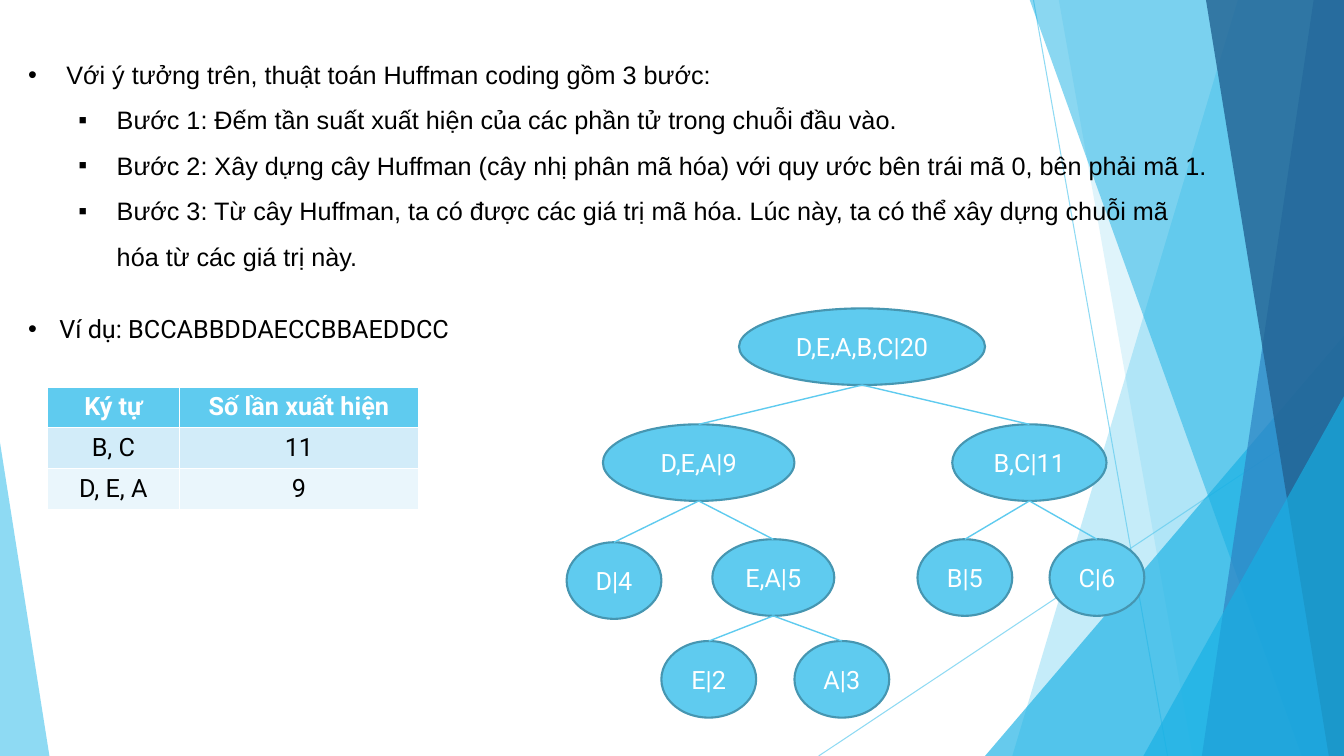
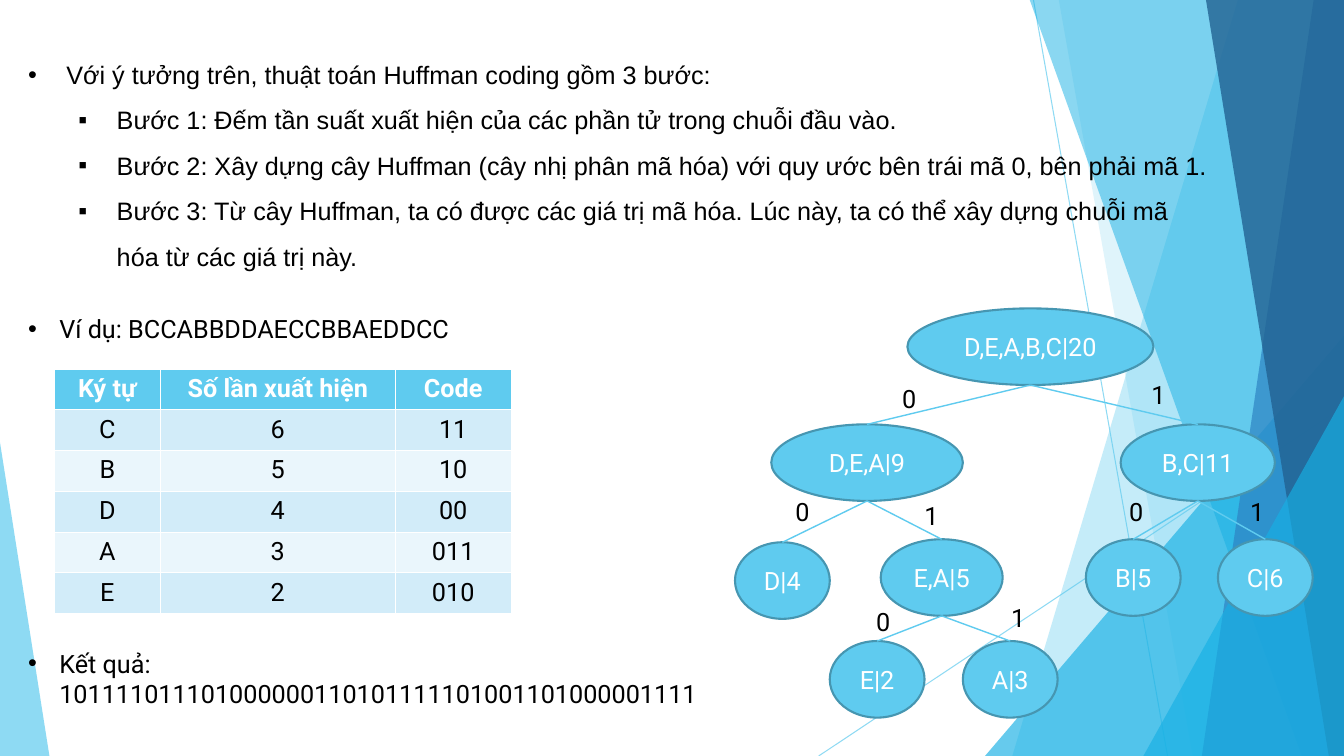
from lxml.etree import SubElement
from pptx import Presentation
from pptx.dml.color import RGBColor
from pptx.enum.shapes import MSO_CONNECTOR, MSO_SHAPE
from pptx.enum.text import MSO_ANCHOR, MSO_AUTO_SIZE, PP_ALIGN
from pptx.oxml.ns import qn
from pptx.util import Inches, Pt

WIDTH, HEIGHT = 13.33, 7.5
STEPS = [
    "Với ý tưởng trên, thuật toán Huffman coding gồm 3 bước:",
    "Bước 1: Đếm tần suất xuất hiện của các phần tử trong chuỗi đầu vào.",
    "Bước 2: Xây dựng cây Huffman (cây nhị phân mã hóa) với quy ước bên trái mã 0, bên phải mã 1.",
    "Bước 3: Từ cây Huffman, ta có được các giá trị mã hóa. Lúc này, ta có thể xây dựng chuỗi mã "
    "hóa từ các giá trị này.",
]
EXAMPLE = "Ví dụ: BCCABBDDAECCBBAEDDCC"
RESULT = "Kết quả: 101111011101000000110101111101001101000001111"
GROUPS = [("Ký tự", "Số lần xuất hiện"), ("B, C", "11"), ("D, E, A", "9")]
CODES = [
    ("Ký tự", "Số lần xuất hiện", "Code"),
    ("C", "6", "11"),
    ("B", "5", "10"),
    ("D", "4", "00"),
    ("A", "3", "011"),
    ("E", "2", "010"),
]
NODES = {
    "E|2": (7.03, 6.36, 0.94),
    "A|3": (8.35, 6.36, 0.94),
    "E,A|5": (7.67, 5.35, 1.21),
    "B|5": (9.57, 5.35, 0.94),
    "C|6": (10.88, 5.35, 0.94),
    "B,C|11": (10.21, 4.21, 1.53),
    "D|4": (6.09, 5.38, 0.94),
    "D,E,A|9": (6.93, 4.21, 1.9),
    "D,E,A,B,C|20": (8.55, 3.06, 2.44),
}
NODE_HEIGHT = 0.76
BRANCHES = [
    ("E,A|5", "E|2"),
    ("E,A|5", "A|3"),
    ("D,E,A|9", "D|4"),
    ("D,E,A|9", "E,A|5"),
    ("B,C|11", "B|5"),
    ("B,C|11", "C|6"),
    ("D,E,A,B,C|20", "B,C|11"),
    ("D,E,A,B,C|20", "D,E,A|9"),
]
BITS = {
    "0": [(8.85, 3.75), (7.79, 4.87), (8.59, 5.97), (11.1, 4.87)],
    "1": [(11.32, 3.71), (12.3, 4.87), (9.93, 5.93), (9.07, 4.91)],
}


def color(value):
    """Turn a hex string into a colour."""
    return RGBColor.from_string(value)


def set_opacity(shape, percent):
    """Make the colours of a shape partly transparent."""
    for node in shape.element.spPr.iter(qn("a:srgbClr")):
        SubElement(node, qn("a:alpha"), val=str(percent * 1000))


class Deck:
    """Hold the style, the presentation and the current slide."""

    body_font, steps_font, size = "Roboto", "Arial", 18
    sky, azure, blue, navy = "5FCBEF", "17B0E4", "2E83C3", "226292"
    outline, white, black = "4696B1", "FFFFFF", "000000"
    bands = ("EAF6FC", "D2ECF9")

    def __init__(self):
        """Start the presentation with its shared background."""
        self.presentation = Presentation()
        self.presentation.slide_width = Inches(WIDTH)
        self.presentation.slide_height = Inches(HEIGHT)
        self.layout = self.presentation.slide_layouts[6]
        self.slide = None

    def add_slide(self):
        """Add a slide and make it current."""
        first = self.slide is None
        self.slide = self.presentation.slides.add_slide(self.layout)
        if first:
            self.backdrop()

    def backdrop(self):
        """Draw the facets and move them to the layout all slides share."""
        for placeholder in list(self.layout.placeholders):
            self.layout.shapes.element.remove(placeholder.element)
        for start, end in (((10.25, 0), (11.58, HEIGHT)), ((WIDTH, 4.03), (8.12, HEIGHT))):
            set_opacity(self.line(start, end, 0.75), 70)
        self.wedge(12.28, 10.04, self.sky, 36)
        self.wedge(10.5, 11.83, self.sky, 20)
        self.triangle(9.77, 3.33, 3.56, 1, self.azure, 66)
        self.wedge(10.21, 12.91, self.azure, 50)
        self.wedge(13.03, 11.92, self.blue, 70)
        self.wedge(11.96, 13.18, self.navy, 80)
        self.triangle(11.34, 3.93, 1.99, 1, self.azure, 66)
        self.triangle(0, 4.39, 0.49, 0, self.sky, 70)
        for shape in list(self.slide.shapes):
            self.layout.shapes.element.append(shape.element)

    def paint(self, shape, fill, opacity):
        """Give a shape a plain transparent fill."""
        shape.shadow.inherit = False
        shape.fill.solid()
        shape.fill.fore_color.rgb = color(fill)
        shape.line.fill.background()
        set_opacity(shape, opacity)

    def wedge(self, top_x, bottom_x, fill, opacity):
        """Draw a full-height facet that reaches the right edge."""
        top = -0.01
        builder = self.slide.shapes.build_freeform(Inches(top_x), Inches(top))
        corners = ((WIDTH, top), (WIDTH, HEIGHT), (bottom_x, HEIGHT))
        builder.add_line_segments([(Inches(x), Inches(y)) for x, y in corners])
        self.paint(builder.convert_to_shape(), fill, opacity)

    def triangle(self, left, top, width, apex, fill, opacity):
        """Draw a triangle that stands on the bottom edge."""
        shape = self.slide.shapes.add_shape(
            MSO_SHAPE.ISOSCELES_TRIANGLE, Inches(left), Inches(top), Inches(width), Inches(HEIGHT - top)
        )
        shape.adjustments[0] = apex
        self.paint(shape, fill, opacity)

    def line(self, start, end, weight):
        """Draw a straight line between two points."""
        connector = self.slide.shapes.add_connector(
            MSO_CONNECTOR.STRAIGHT, *[Inches(value) for value in (*start, *end)]
        )
        connector.line.color.rgb = color(self.sky)
        connector.line.width = Pt(weight)
        SubElement(connector.element.spPr, qn("a:effectLst"))
        return connector

    def format_runs(self, paragraph, font, font_color, bold=False):
        """Set the font of every run in a paragraph."""
        for run in paragraph.runs:
            run.font.name = font
            run.font.size = Pt(self.size)
            run.font.bold = bold
            run.font.color.rgb = color(font_color)

    def bullet(self, paragraph, character, margin, hanging):
        """Give a paragraph a hanging bullet."""
        properties = paragraph._p.get_or_add_pPr()
        properties.set("marL", str(Inches(margin)))
        properties.set("indent", str(-Inches(hanging)))
        SubElement(properties, qn("a:buFont"), typeface="Arial")
        SubElement(properties, qn("a:buChar"), char=character)

    def text(self, left, top, width, height, lines, font=body_font):
        """Add a text box and return its paragraphs."""
        box = self.slide.shapes.add_textbox(Inches(left), Inches(top), Inches(width), Inches(height))
        frame = box.text_frame
        frame.word_wrap = True
        frame.auto_size = MSO_AUTO_SIZE.SHAPE_TO_FIT_TEXT
        frame.text = "\n".join(lines)
        for paragraph in frame.paragraphs:
            self.format_runs(paragraph, font, self.black)
        return frame.paragraphs

    def steps(self):
        """Add the steps of the algorithm."""
        paragraphs = self.text(0.18, 0.39, 11.94, 2.32, STEPS, self.steps_font)
        for index, paragraph in enumerate(paragraphs):
            paragraph.level = min(index, 1)
            paragraph.line_spacing = 1.5
            self.bullet(paragraph, "▪" if index else "•", 0.88 if index else 0.38, 0.38)
        paragraphs[0].space_before = Pt(6)
        paragraphs[-1].space_after = Pt(6)

    def point(self, top, width, text):
        """Add a single bulleted line."""
        for paragraph in self.text(0.18, top, width, 0.4, [text]):
            self.bullet(paragraph, "•", 0.31, 0.31)

    def table(self, left, top, widths, rows):
        """Add a centred table with a header and banded rows."""
        row_height = 0.405
        table = self.slide.shapes.add_table(
            len(rows), len(widths), Inches(left), Inches(top),
            Inches(sum(widths)), Inches(row_height * len(rows)),
        ).table
        for column, width in zip(table.columns, widths):
            column.width = Inches(width)
        for row_index, values in enumerate(rows):
            header = row_index == 0
            for column_index, value in enumerate(values):
                cell = table.cell(row_index, column_index)
                cell.fill.solid()
                cell.fill.fore_color.rgb = color(self.sky if header else self.bands[row_index % 2])
                cell.text_frame.text = value
                paragraph = cell.text_frame.paragraphs[0]
                paragraph.alignment = PP_ALIGN.CENTER
                self.format_runs(paragraph, self.body_font, self.white if header else self.black, header)

    def node(self, text, center, top, width):
        """Add one tree node."""
        shape = self.slide.shapes.add_shape(
            MSO_SHAPE.OVAL, Inches(center - width / 2), Inches(top), Inches(width), Inches(NODE_HEIGHT)
        )
        shape.shadow.inherit = False
        shape.fill.solid()
        shape.fill.fore_color.rgb = color(self.sky)
        shape.line.color.rgb = color(self.outline)
        shape.line.width = Pt(1.5)
        shape.text_frame.text = text
        shape.text_frame.vertical_anchor = MSO_ANCHOR.MIDDLE
        paragraph = shape.text_frame.paragraphs[0]
        paragraph.alignment = PP_ALIGN.CENTER
        self.format_runs(paragraph, self.body_font, self.white)
        return shape

    def tree(self, shift=0):
        """Add the Huffman tree, moved right by the shift."""
        places = {name: (center + shift, top, width) for name, (center, top, width) in NODES.items()}
        shapes = {name: self.node(name, *place) for name, place in places.items()}
        for parent, child in BRANCHES:
            center, top, _ = places[parent]
            branch = self.line((center, top + NODE_HEIGHT), places[child][:2], 1)
            branch.end_connect(shapes[child], 0)

    def bits(self):
        """Label the branches with their bits."""
        for bit, places in BITS.items():
            for left, top in places:
                self.text(left, top, 0.32, 0.4, [bit])


def main():
    """Build both slides and save them."""
    deck = Deck()

    deck.add_slide()
    deck.steps()
    deck.point(3.06, 4.64, EXAMPLE)
    deck.table(0.47, 3.84, (1.31, 2.37), GROUPS)
    deck.tree()

    deck.add_slide()
    deck.steps()
    deck.point(3.06, 4.64, EXAMPLE)
    deck.table(0.54, 3.66, (1.05, 2.33, 1.15), CODES)
    deck.tree(1.67)
    deck.bits()
    deck.point(6.38, 7.48, RESULT)

    deck.presentation.save("out.pptx")


if __name__ == "__main__":
    main()
